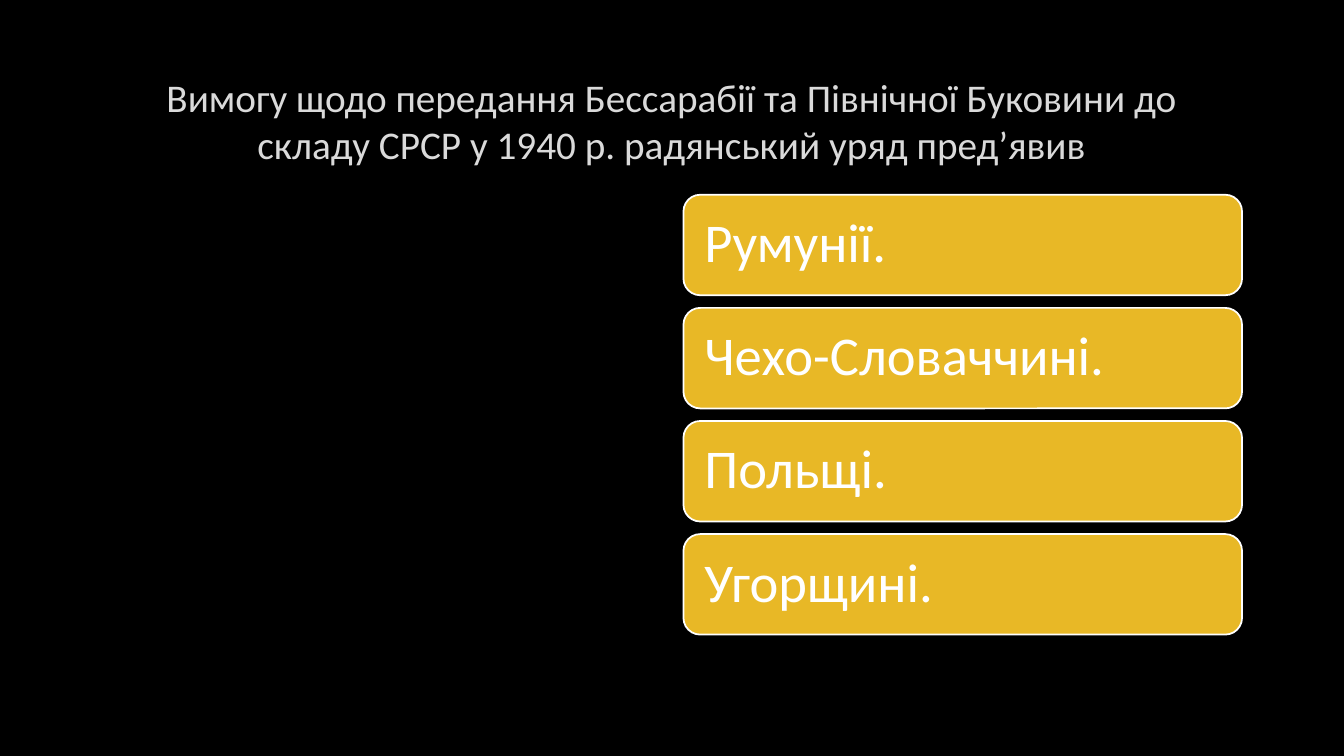
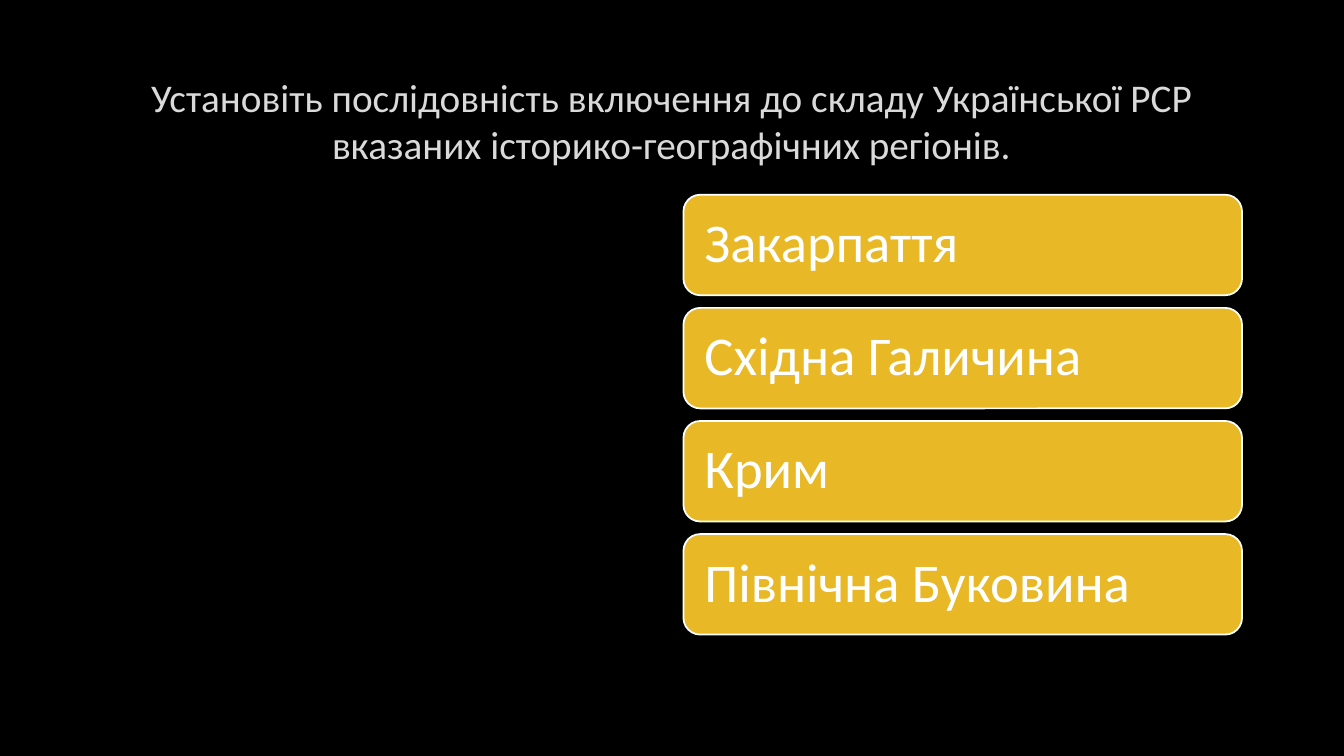
from pptx import Presentation
from pptx.dml.color import RGBColor
from pptx.enum.shapes import MSO_SHAPE
from pptx.enum.text import MSO_ANCHOR, PP_ALIGN
from pptx.util import Pt

ROUNDED = MSO_SHAPE.ROUNDED_RECTANGLE
MIDDLE = MSO_ANCHOR.MIDDLE
LEFT, CENTER = PP_ALIGN.LEFT, PP_ALIGN.CENTER

# Shared look
FONT = "Calibri"
BLACK, WHITE, GREY, GOLD = "000000", "FFFFFF", "DADADA", "E8B826"
SLIDE_W, SLIDE_H = 960, 540
BLANK_LAYOUT = 6

# Shared layout, in points
QUESTION_BOX = (72, 48, 815, 76.5)
ANSWER_LEFT, ANSWER_TOP = 488.2, 139.1
ANSWER_W, ANSWER_H = 399, 71.8
ANSWER_GAP = 9
ANSWER_INSET = 11.5

# Questions with their answer options
QUIZ = [
    ("Вимогу щодо передання Бессарабії та Північної Буковини до складу СРСР "
     "у 1940 р. радянський уряд пред’явив",
     ["Румунії.", "Чехо-Словаччині.", "Польщі.", "Угорщині."]),
    ("Установіть послідовність включення до складу Української РСР "
     "вказаних історико-географічних регіонів.",
     ["Закарпаття", "Східна Галичина", "Крим", "Північна Буковина"]),
]


def color(hex_string):
    return RGBColor.from_string(hex_string)


def write_text(shape, text, *, size, hex_color, align=LEFT, spacing=1.0):
    frame = shape.text_frame
    frame.word_wrap = True
    frame.vertical_anchor = MIDDLE
    paragraph = frame.paragraphs[0]
    paragraph.text = text
    paragraph.alignment = align
    paragraph.line_spacing = spacing
    font = paragraph.font
    font.name = FONT
    font.size = Pt(size)
    font.color.rgb = color(hex_color)


def add_question(slide, text):
    question = slide.shapes.add_textbox(*map(Pt, QUESTION_BOX))
    write_text(question, text, size=28, hex_color=GREY, align=CENTER)


def add_answer(slide, row, text):
    top = ANSWER_TOP + row * (ANSWER_H + ANSWER_GAP)
    answer = slide.shapes.add_shape(
        ROUNDED, Pt(ANSWER_LEFT), Pt(top), Pt(ANSWER_W), Pt(ANSWER_H))
    answer.shadow.inherit = False
    answer.fill.solid()
    answer.fill.fore_color.rgb = color(GOLD)
    answer.line.color.rgb = color(WHITE)
    answer.line.width = Pt(1.25)
    frame = answer.text_frame
    frame.margin_left = frame.margin_right = Pt(ANSWER_INSET)
    frame.margin_top = frame.margin_bottom = Pt(ANSWER_INSET)
    write_text(answer, text, size=39, hex_color=WHITE, spacing=0.9)


def add_quiz_slide(deck, question, answers):
    slide = deck.slides.add_slide(deck.slide_layouts[BLANK_LAYOUT])
    background = slide.background.fill
    background.solid()
    background.fore_color.rgb = color(BLACK)
    add_question(slide, question)
    for row, answer in enumerate(answers):
        add_answer(slide, row, answer)


def main():
    deck = Presentation()
    deck.slide_width, deck.slide_height = Pt(SLIDE_W), Pt(SLIDE_H)
    for question, answers in QUIZ:
        add_quiz_slide(deck, question, answers)
    deck.save("out.pptx")


if __name__ == "__main__":
    main()
